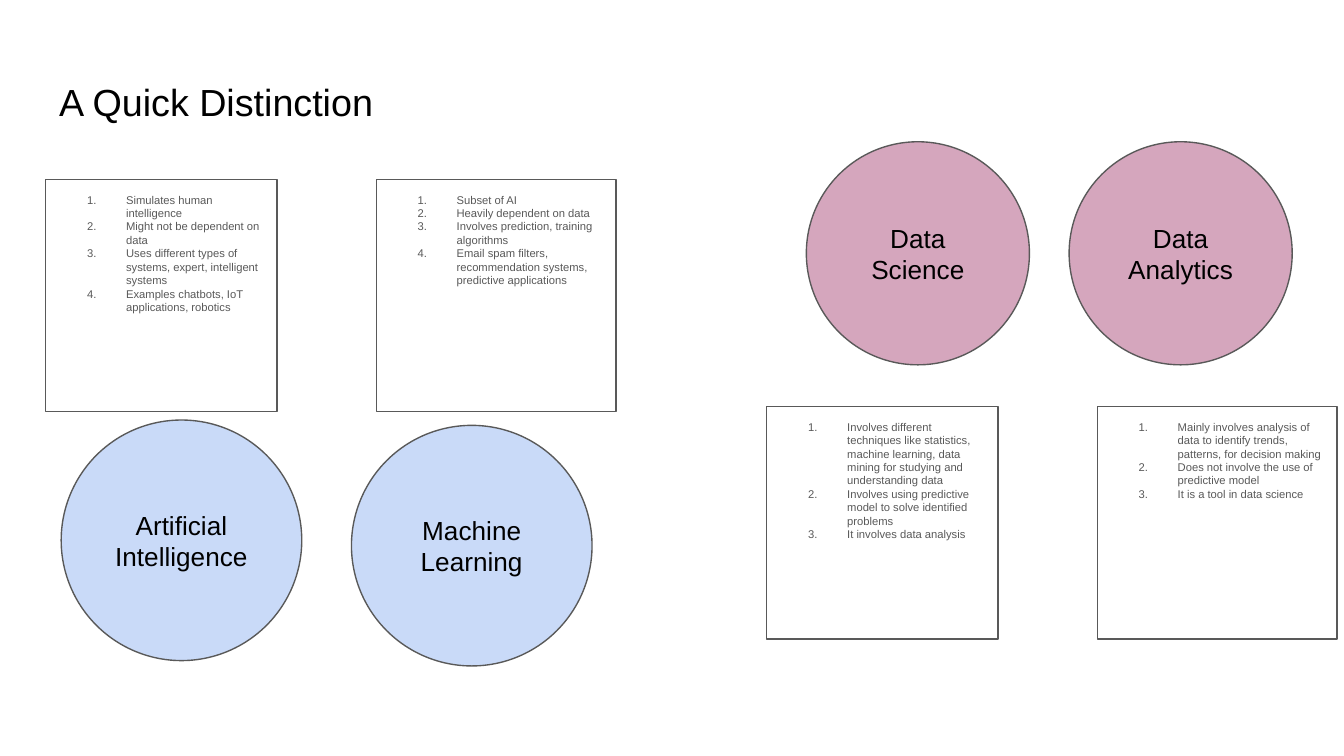
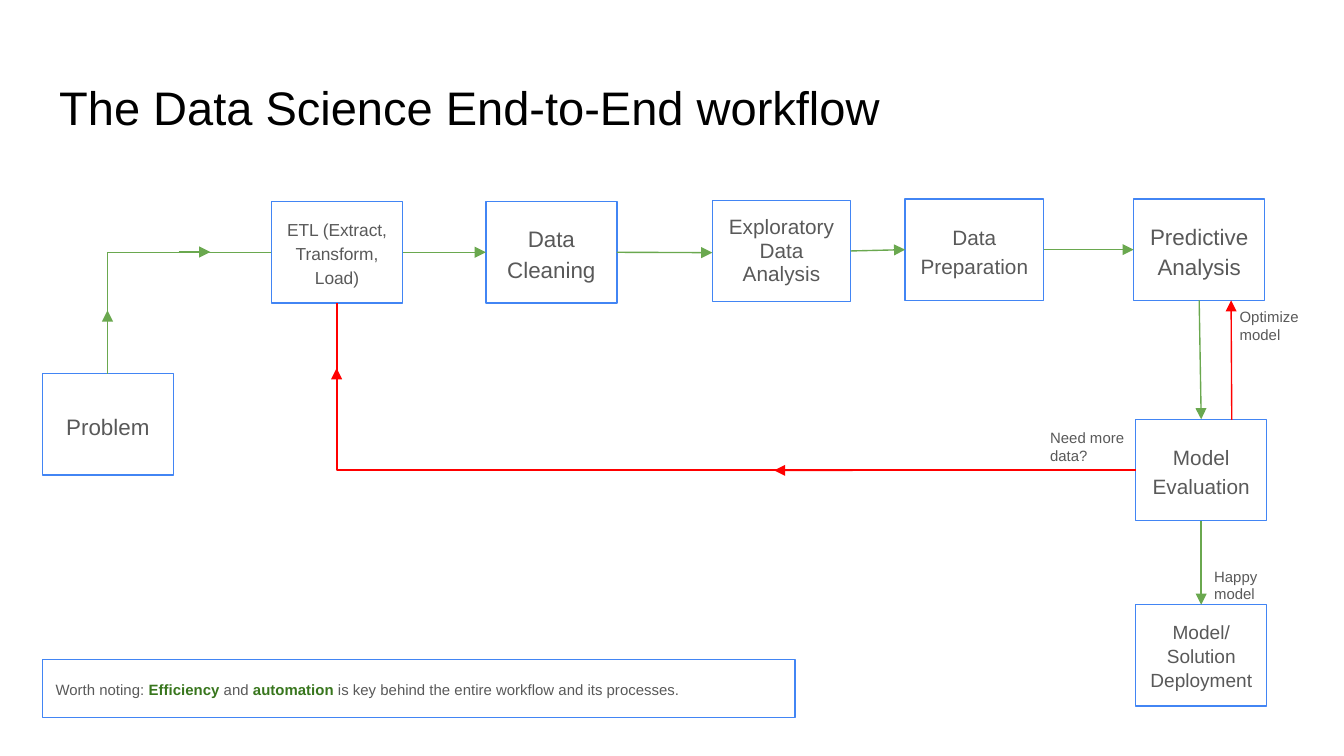
from dataclasses import dataclass

import pptx
import pptx.dml.color
import pptx.enum.shapes
import pptx.enum.text
import pptx.oxml.ns
import pptx.util
from lxml import etree

EMU_PER_PX = 4572  # 200 px to the inch
SHAPES = pptx.enum.shapes.MSO_SHAPE
CONNECTORS = pptx.enum.shapes.MSO_CONNECTOR
ALIGN = pptx.enum.text.PP_ALIGN
ANCHOR = pptx.enum.text.MSO_ANCHOR
TOP, LEFT, BOTTOM, RIGHT = range(4)


@dataclass(frozen=True)
class Theme:
    font: str = "Arial"
    title: str = "000000"
    text: str = "595959"
    emphasis: str = "38761D"
    box_line: str = "4285F4"
    ai_fill: str = "C9DAF8"
    data_fill: str = "D5A6BD"
    forward: str = "6AA84F"
    feedback: str = "FF0000"
    line_width: float = 0.75
    circle_size: float = 14
    list_size: float = 6
    label_size: float = 8
    step_large: float = 12
    step_medium: float = 11.1
    step_small: float = 10.2
    step_tiny: float = 9.3


THEME = Theme()


def px(value):
    return pptx.util.Emu(value * EMU_PER_PX)


def rgb(color):
    return pptx.dml.color.RGBColor.from_string(color)


def add_xml(parent, tag, **attributes):
    return etree.SubElement(parent, pptx.oxml.ns.qn(tag), **attributes)


def add_run(paragraph, text, size, color, bold=False):
    run = paragraph.add_run()
    run.text = text
    run.font.name = THEME.font
    run.font.size = pptx.util.Pt(size)
    run.font.color.rgb = rgb(color)
    run.font.bold = bold


def prepare_frame(shape, anchor):
    frame = shape.text_frame
    frame.word_wrap = True
    frame.auto_size = pptx.enum.text.MSO_AUTO_SIZE.NONE
    frame.vertical_anchor = anchor
    frame.margin_left = frame.margin_right = px(20)
    frame.margin_top = frame.margin_bottom = px(20)
    return frame


def add_titled_slide(presentation, title, size):
    slide = presentation.slides.add_slide(presentation.slide_layouts[5])
    shape = slide.shapes.title
    shape.left, shape.top, shape.width, shape.height = map(px, (68, 97, 1864, 125))
    paragraph = prepare_frame(shape, ANCHOR.TOP).paragraphs[0]
    paragraph.alignment = ALIGN.LEFT
    add_run(paragraph, title, size, THEME.title)
    return slide


def add_outlined(slide, kind, bounds, line, fill=None):
    shape = slide.shapes.add_shape(kind, *map(px, bounds))
    shape.shadow.inherit = False
    shape.line.color.rgb = rgb(line)
    shape.line.width = pptx.util.Pt(THEME.line_width)
    if fill:
        shape.fill.solid()
        shape.fill.fore_color.rgb = rgb(fill)
    else:
        shape.fill.background()
    return shape


def add_circle(slide, left, top, diameter, text, fill):
    bounds = (left, top, diameter, diameter)
    circle = add_outlined(slide, SHAPES.OVAL, bounds, THEME.text, fill)
    paragraph = prepare_frame(circle, ANCHOR.MIDDLE).paragraphs[0]
    paragraph.alignment = ALIGN.CENTER
    add_run(paragraph, text, THEME.circle_size, THEME.title)


def add_numbered_box(slide, left, top, width, items):
    box = add_outlined(slide, SHAPES.RECTANGLE, (left, top, width, 346), THEME.text)
    frame = prepare_frame(box, ANCHOR.TOP)
    for index, item in enumerate(items):
        paragraph = frame.add_paragraph() if index else frame.paragraphs[0]
        paragraph.alignment = ALIGN.LEFT
        properties = paragraph._p.get_or_add_pPr()
        properties.set("marL", str(px(100)))
        properties.set("indent", str(px(-58)))
        add_xml(add_xml(properties, "a:buClr"), "a:srgbClr", val=THEME.text)
        add_xml(properties, "a:buAutoNum", type="arabicPeriod")
        add_run(paragraph, item, THEME.list_size, THEME.text)


def add_workflow_box(slide, bounds, runs, size, spacing=1.15, align=ALIGN.CENTER):
    """Blue-outlined box; runs is a list of (text, is_emphasised)."""
    box = add_outlined(slide, SHAPES.RECTANGLE, bounds, THEME.box_line)
    paragraph = prepare_frame(box, ANCHOR.MIDDLE).paragraphs[0]
    paragraph.alignment = align
    paragraph.line_spacing = spacing
    paragraph.space_after = pptx.util.Pt(12)
    for text, emphasised in runs:
        color = THEME.emphasis if emphasised else THEME.text
        add_run(paragraph, text, size, color, emphasised)
    return box


def add_label(slide, left, top, text):
    label = slide.shapes.add_textbox(*map(px, (left, top, 160, 110)))
    paragraph = prepare_frame(label, ANCHOR.TOP).paragraphs[0]
    add_run(paragraph, text, THEME.label_size, THEME.text)


def connect(slide, start, end, color, arrow=True, elbow=False):
    """Join two ends, each (shape, side) or an (x, y) point.

    An elbow leaves its start horizontally and turns once.
    """
    kind = CONNECTORS.ELBOW if elbow else CONNECTORS.STRAIGHT
    points = [px(value) if isinstance(point[0], int) else 0
              for point in (start, end) for value in point]
    connector = slide.shapes.add_connector(kind, *points)
    for point, join in ((start, connector.begin_connect), (end, connector.end_connect)):
        if not isinstance(point[0], int):
            join(*point)
    connector.line.color.rgb = rgb(color)
    connector.line.width = pptx.util.Pt(THEME.line_width)
    properties = connector._element.spPr
    if elbow:
        properties.find(pptx.oxml.ns.qn("a:prstGeom")).set("prst", "bentConnector2")
    if arrow:
        add_xml(connector.line._get_or_add_ln(), "a:tailEnd", type="triangle")
    add_xml(properties, "a:effectLst")


def build_distinction(presentation):
    slide = add_titled_slide(presentation, "A Quick Distinction", 20.2)
    for left, top, diameter, text, fill in (
        (91, 625, 358, "Artificial Intelligence", THEME.ai_fill),
        (1591, 211, 332, "Data Analytics", THEME.data_fill),
        (523, 633, 358, "Machine Learning", THEME.ai_fill),
        (1200, 211, 332, "Data Science", THEME.data_fill),
    ):
        add_circle(slide, left, top, diameter, text, fill)
    for left, top, width, items in (
        (68, 267, 344, (
            "Simulates human intelligence",
            "Might not be dependent on data",
            "Uses different types of systems, expert, intelligent systems",
            "Examples chatbots, IoT applications, robotics",
        )),
        (560, 267, 357, (
            "Subset of AI",
            "Heavily dependent on data",
            "Involves prediction, training algorithms",
            "Email spam filters, recommendation systems, predictive applications",
        )),
        (1141, 605, 344, (
            "Involves different techniques like statistics, machine learning, "
            "data mining for studying and understanding data",
            "Involves using predictive model to solve identified problems",
            "It involves data analysis",
        )),
        (1633, 605, 357, (
            "Mainly involves analysis of data to identify trends, patterns, "
            "for decision making",
            "Does not involve the use of predictive model",
            "It is a tool in data science",
        )),
    ):
        add_numbered_box(slide, left, top, width, items)


def build_workflow(presentation):
    slide = add_titled_slide(presentation, "The Data Science End-to-End workflow", 25.2)
    steps = (
        (404, 300, 195, "ETL (Extract, Transform, Load)", THEME.step_tiny, 1.15),
        (723, 300, 195, "Data Cleaning", THEME.step_large, 1.15),
        (1060, 298, 206, "Exploratory Data Analysis", THEME.step_medium, 0.95),
        (1347, 296, 206, "Data Preparation", THEME.step_medium, 1.15),
        (1687, 296, 195, "Predictive Analysis", THEME.step_large, 1.15),
        (1690, 624, 195, "Model Evaluation", THEME.step_medium, 1.15),
        (1690, 900, 195, "Model/Solution Deployment", THEME.step_small, 1.05),
        (63, 556, 195, "Problem", THEME.step_large, 1.15),
    )
    etl, cleaning, exploration, preparation, prediction, evaluation, deployment, problem = [
        add_workflow_box(slide, (left, top, width, 151), [(text, False)], size, spacing)
        for left, top, width, text, size, spacing in steps
    ]

    for start, end in (
        ((etl, RIGHT), (cleaning, LEFT)),
        ((cleaning, RIGHT), (1060, 376)),
        ((exploration, RIGHT), (preparation, LEFT)),
        ((preparation, RIGHT), (prediction, LEFT)),
        ((prediction, BOTTOM), (evaluation, TOP)),
        ((evaluation, BOTTOM), (deployment, TOP)),
    ):
        connect(slide, start, end, THEME.forward)

    connect(slide, (evaluation, LEFT), (etl, BOTTOM), THEME.feedback, arrow=False, elbow=True)
    connect(slide, (evaluation, LEFT), (1152, 700), THEME.feedback)
    connect(slide, (501, 634), (501, 548), THEME.feedback)
    connect(slide, (1833, 625), (1832, 447), THEME.feedback)
    connect(slide, (etl, LEFT), (problem, TOP), THEME.forward, arrow=False, elbow=True)
    connect(slide, (160, 500), (160, 462), THEME.forward)
    connect(slide, (266, 375), (313, 375), THEME.forward)

    add_label(slide, 1787, 824, "Happy model")
    add_label(slide, 1825, 438, "Optimize model")
    add_label(slide, 1543, 618, "Need more data?")
    note = [
        ("Worth noting: ", False),
        ("Efficiency", True),
        (" and ", False),
        ("automation", True),
        (" is key behind the entire workflow and its processes.", False),
    ]
    add_workflow_box(slide, (63, 982, 1120, 86), note, THEME.label_size, align=ALIGN.LEFT)


def main():
    presentation = pptx.Presentation()
    presentation.slide_width, presentation.slide_height = px(2000), px(1125)
    build_distinction(presentation)
    build_workflow(presentation)
    presentation.save("out.pptx")


if __name__ == "__main__":
    main()
